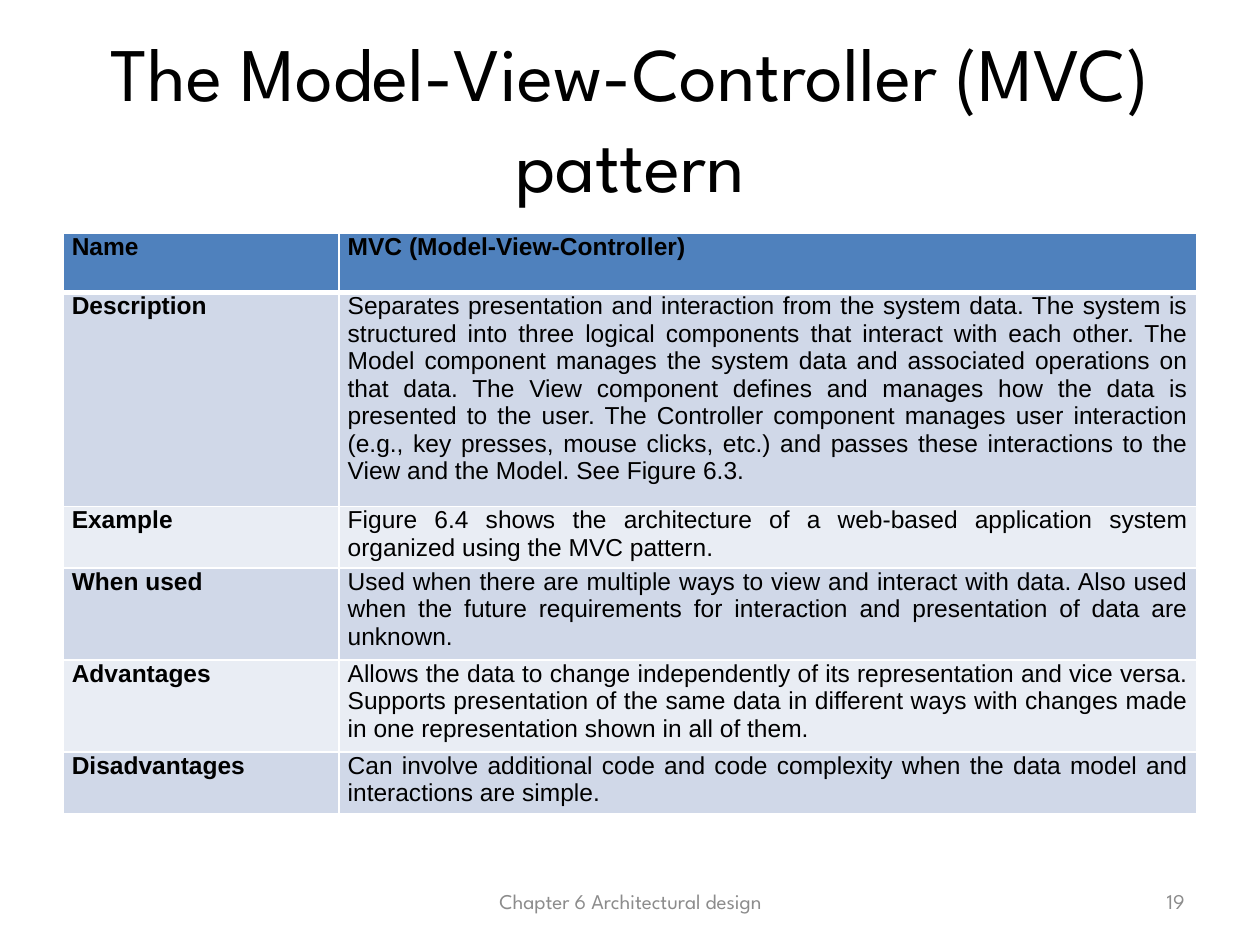
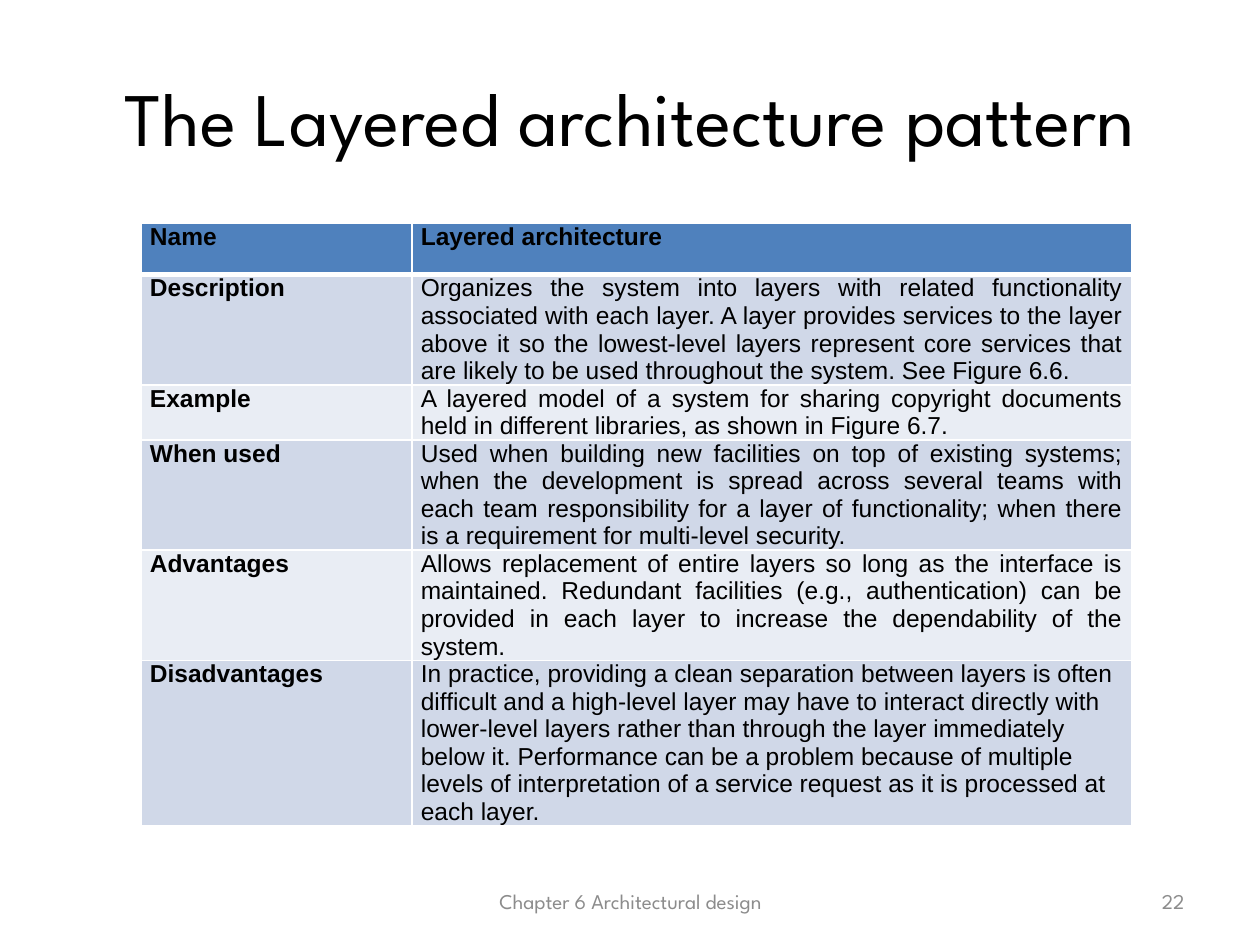
from dataclasses import dataclass

import lxml.etree
import pptx
import pptx.dml.color
import pptx.enum.text
import pptx.oxml.ns
import pptx.util

Inches = pptx.util.Inches
Align = pptx.enum.text.PP_ALIGN
Anchor = pptx.enum.text.MSO_ANCHOR


@dataclass(frozen=True)
class Theme:
    ink: str = "000000"
    gray: str = "8C8C8C"
    rule: str = "FFFFFF"
    head: str = "4F81BD"
    bands: tuple[str, str] = ("D0D8E8", "E9EDF4")
    face: str = "League Spartan"
    body: str = "Arial"
    title: float = 43.2
    cell: float = 14
    foot: float = 12


@dataclass(frozen=True)
class Box:
    left: float
    top: float
    width: float
    height: float

    def sizes(self) -> tuple[int, ...]:
        return tuple(Inches(n) for n in (self.left, self.top, self.width, self.height))


@dataclass(frozen=True)
class Pattern:
    title: str
    page: int
    box: Box
    label: float  # width of the label column
    rows: tuple[float, ...]
    texts: tuple[str, ...]
    last: Align = Align.JUSTIFY  # alignment of the last text


THEME = Theme()
TITLE = Box(0.5, 0.3, 9, 1.25)
FOOTER = Box(3.42, 6.95, 3.17, 0.4)
NUMBER = Box(7.17, 6.95, 2.33, 0.4)
LABELS = ("Name", "Description", "Example", "When used", "Advantages", "Disadvantages")

PATTERNS = (
    Pattern(
        "The Model-View-Controller (MVC) pattern", 19,
        Box(0.5, 1.85, 9, 4.6), 2.19, (0.47, 1.7, 0.49, 0.73, 0.73, 0.49),
        (
            "MVC (Model-View-Controller)",
            "Separates presentation and interaction from the system data. The system is "
            "structured into three logical components that interact with each other. The "
            "Model component manages the system data and associated operations on that data. "
            "The View component defines and manages how the data is presented to the user. "
            "The Controller component manages user interaction (e.g., key presses, mouse "
            "clicks, etc.) and passes these interactions to the View and the Model. "
            "See Figure 6.3.",
            "Figure 6.4 shows the architecture of a web-based application system organized "
            "using the MVC pattern.",
            "Used when there are multiple ways to view and interact with data. Also used when "
            "the future requirements for interaction and presentation of data are unknown.",
            "Allows the data to change independently of its representation and vice versa. "
            "Supports presentation of the same data in different ways with changes made in "
            "one representation shown in all of them.",
            "Can involve additional code and code complexity when the data model and "
            "interactions are simple.",
        ),
    ),
    Pattern(
        "The Layered architecture pattern", 22,
        Box(1.12, 1.77, 7.86, 5.07), 2.15, (0.41,) * 6,
        (
            "Layered architecture",
            "Organizes the system into layers with related functionality associated with each "
            "layer. A layer provides services to the layer above it so the lowest-level layers "
            "represent core services that are likely to be used throughout the system. "
            "See Figure 6.6.",
            "A layered model of a system for sharing copyright documents held in different "
            "libraries, as shown in Figure 6.7.",
            "Used when building new facilities on top of existing systems; when the "
            "development is spread across several teams with each team responsibility for a "
            "layer of functionality; when there is a requirement for multi-level security.",
            "Allows replacement of entire layers so long as the interface is maintained. "
            "Redundant facilities (e.g., authentication) can be provided in each layer to "
            "increase the dependability of the system.",
            "In practice, providing a clean separation between layers is often difficult and "
            "a high-level layer may have to interact directly with lower-level layers rather "
            "than through the layer immediately below it. Performance can be a problem because "
            "of multiple levels of interpretation of a service request as it is processed at "
            "each layer.",
        ),
        last=Align.LEFT,
    ),
)


def color(code: str) -> pptx.dml.color.RGBColor:
    return pptx.dml.color.RGBColor.from_string(code)


def write(frame, text: str, *, size: float, font: str = THEME.face, ink: str = THEME.ink,
          bold: bool = False, align: Align = Align.CENTER) -> None:
    frame.word_wrap = True
    line = frame.paragraphs[0]
    line.alignment = align
    run = line.add_run()
    run.text = text
    run.font.name = font
    run.font.size = pptx.util.Pt(size)
    run.font.bold = bold
    run.font.color.rgb = color(ink)


def border(cell, **widths: float) -> None:
    """Rule the cell's sides, given as L, R, T and B in points; call before filling."""
    props = cell._tc.get_or_add_tcPr()
    name = pptx.oxml.ns.qn
    for side, width in widths.items():
        line = lxml.etree.SubElement(props, name(f"a:ln{side}"), w=str(pptx.util.Pt(width)))
        fill = lxml.etree.SubElement(line, name("a:solidFill"))
        lxml.etree.SubElement(fill, name("a:srgbClr"), val=THEME.rule)


def add_title(slide, text: str) -> None:
    shape = slide.shapes.title
    shape.left, shape.top, shape.width, shape.height = TITLE.sizes()
    frame = shape.text_frame
    frame.auto_size = pptx.enum.text.MSO_AUTO_SIZE.NONE
    frame.vertical_anchor = Anchor.MIDDLE
    write(frame, text, size=THEME.title)


def add_note(slide, box: Box, text: str, align: Align) -> None:
    frame = slide.shapes.add_textbox(*box.sizes()).text_frame
    frame.vertical_anchor = Anchor.MIDDLE
    write(frame, text, size=THEME.foot, ink=THEME.gray, align=align)


def add_grid(slide, item: Pattern) -> None:
    shape = slide.shapes.add_table(len(LABELS), 2, *item.box.sizes())
    table = shape.table
    table.columns[0].width = Inches(item.label)
    table.columns[1].width = Inches(item.box.width - item.label)
    for row, pair in enumerate(zip(LABELS, item.texts)):
        table.rows[row].height = Inches(item.rows[row])
        for col, text in enumerate(pair):
            cell = table.cell(row, col)
            border(cell, L=1, R=1, T=3 if row == 1 else 1, B=3 if row == 0 else 1)
            cell.fill.solid()
            cell.fill.fore_color.rgb = color(THEME.bands[(row - 1) % 2] if row else THEME.head)
            cell.margin_left = cell.margin_right = Inches(0.07)
            cell.margin_top = cell.margin_bottom = 0
            final = row == len(LABELS) - 1 and col == 1
            write(cell.text_frame, text, size=THEME.cell, font=THEME.body,
                  bold=row == 0 or col == 0, align=item.last if final else Align.JUSTIFY)
    shape.height = Inches(item.box.height)


def main() -> None:
    deck = pptx.Presentation()
    deck.slide_width, deck.slide_height = Inches(10), Inches(7.5)
    layout = deck.slide_layouts.get_by_name("Title Only")
    for item in PATTERNS:
        slide = deck.slides.add_slide(layout)
        add_title(slide, item.title)
        add_grid(slide, item)
        add_note(slide, FOOTER, "Chapter 6 Architectural design", Align.CENTER)
        add_note(slide, NUMBER, str(item.page), Align.RIGHT)
    deck.save("out.pptx")


if __name__ == "__main__":
    main()
